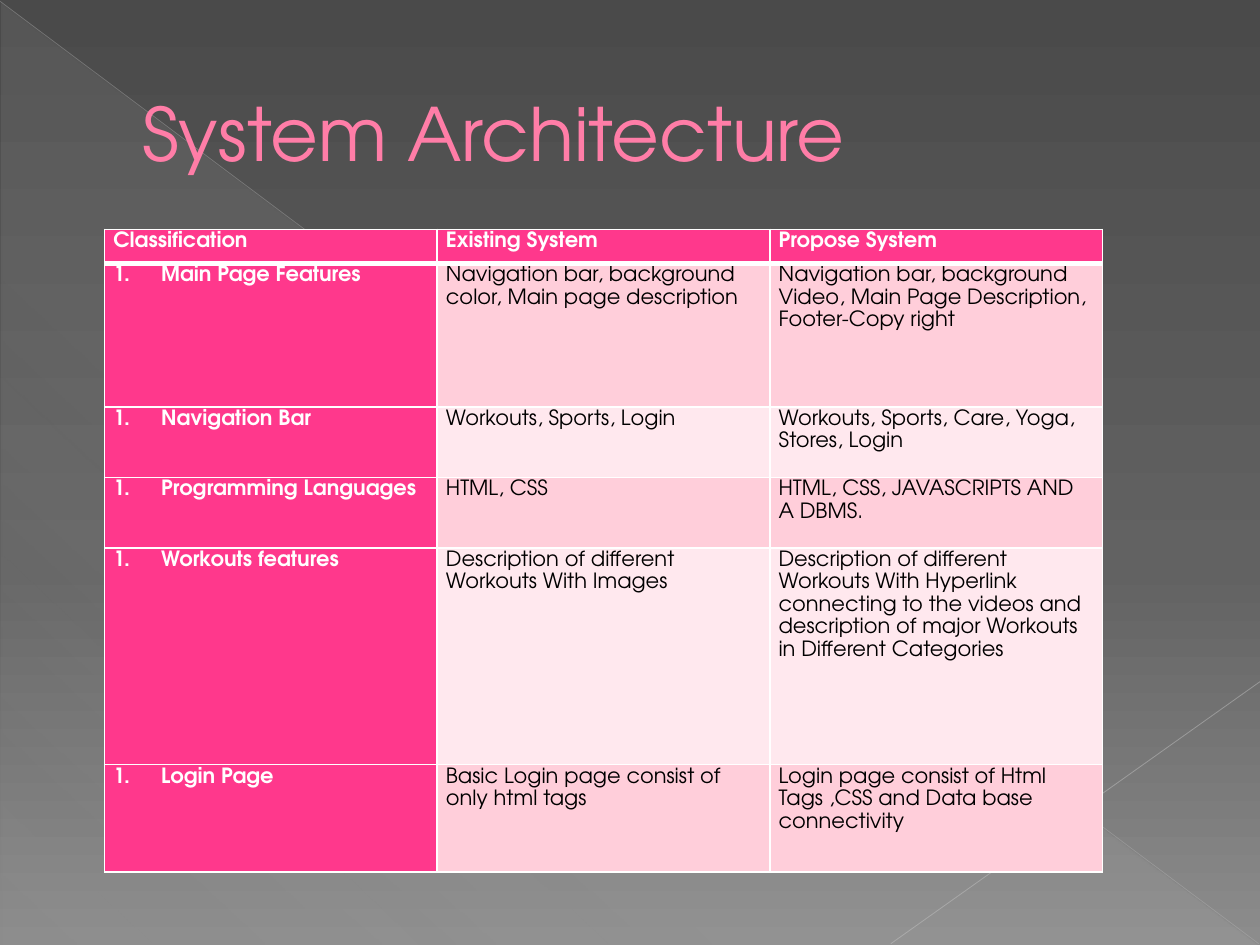
from pptx import Presentation
from pptx.dml.color import RGBColor
from pptx.enum.shapes import MSO_CONNECTOR as Conn, MSO_SHAPE as Shape
from pptx.enum.text import MSO_ANCHOR as Anchor
from pptx.oxml.ns import qn
from pptx.util import Inches, Pt
from lxml.etree import SubElement as Sub

FONT = "TeX Gyre Adventor"
PINK, WHITE, BLACK = "FF388C", "FFFFFF", "000000"
BANDS = ["FFCEDA", "FFE8EE"]
HEADS = ["Classification", "Existing System", "Propose System"]
ROWS = [
    ["Main Page Features",
     "Navigation bar, background color, Main page description",
     "Navigation bar, background Video, Main Page Description, Footer-Copy right"],
    ["Navigation Bar",
     "Workouts, Sports, Login",
     "Workouts, Sports, Care, Yoga, Stores, Login"],
    ["Programming Languages",
     "HTML, CSS",
     "HTML, CSS, JAVASCRIPTS AND A DBMS."],
    ["Workouts features",
     "Description of different Workouts With Images",
     "Description of different Workouts With Hyperlink connecting to the videos "
     "and description of major Workouts in Different Categories"],
    ["Login Page",
     "Basic Login page consist of only html tags",
     "Login page consist of Html Tags ,CSS and Data base connectivity"],
]
HEIGHTS = [0.27, 1.14, 0.56, 0.56, 1.72, 0.85]


def rgb(code):
    """Turn a hex string into a colour."""
    return RGBColor.from_string(code)


def paint(node, code, alpha=100):
    """Add a colour with an opacity in percent to an XML node."""
    tone = Sub(node, qn("a:srgbClr"), val=code)
    if alpha < 100:
        Sub(tone, qn("a:alpha"), val=str(alpha * 1000))


def grade(fill, node, stops, angle):
    """Give a fill gradient stops of position, colour and opacity."""
    fill.gradient()
    fill.gradient_angle = 360 - angle
    bag = node.find(".//" + qn("a:gsLst"))
    for old in list(bag):
        bag.remove(old)
    for pos, code, alpha in stops:
        paint(Sub(bag, qn("a:gs"), pos=str(pos * 1000)), code, alpha)


def write(frame, text, size=12, color=BLACK, bold=False, indent=0, hang=0,
          space=None, after=0, number=False, edge=None):
    """Put one formatted paragraph into a text frame."""
    frame.word_wrap = True
    para = frame.paragraphs[0]
    para.line_spacing, para.space_after = space, Pt(after)
    props = para._p.get_or_add_pPr()
    props.set("marL", str(Inches(indent)))
    props.set("indent", str(Inches(-hang)))
    if number:
        Sub(props, qn("a:buFont"), typeface="+mj-lt")
        Sub(props, qn("a:buAutoNum"), type="arabicPeriod")
    run = para.add_run()
    run.text = text
    font = run.font
    font.name, font.size, font.bold = FONT, Pt(size), bold
    font.color.rgb = rgb(color)
    if edge:
        line = Sub(run._r.rPr, qn("a:ln"), w=str(Pt(0.5)))
        paint(Sub(line, qn("a:solidFill")), edge)
        run._r.rPr.insert(0, line)


def streak(slide, start, end, color, width, alpha):
    """Draw a thin translucent line."""
    line = slide.shapes.add_connector(
        Conn.STRAIGHT, *(Inches(n) for n in start + end))
    line.line.width = Pt(width)
    line.line.color.rgb = rgb(color)
    tone = line.element.spPr.find(".//" + qn("a:srgbClr"))
    Sub(tone, qn("a:alpha"), val=str(alpha * 1000))
    Sub(line.element.spPr, qn("a:effectLst"))


def scene(slide, left, top, width, height):
    """Draw the shaded backdrop with its wedge and streaks."""
    grade(slide.background.fill, slide.element,
          [(0, "4A4A4A", 100), (60, "626262", 100), (100, "8C8C8C", 100)], 90)
    wedge = slide.shapes.add_shape(
        Shape.RIGHT_TRIANGLE, Inches(left + 0.01), Inches(top + 0.02),
        Inches(width - 0.02), Inches(height - 0.02))
    wedge.shadow.inherit = False
    wedge.line.fill.background()
    grade(wedge.fill, wedge.element,
          [(0, "D2D2D2", 10), (70, "D2D2D2", 8), (100, "D2D2D2", 1)], 133)
    right, base = left + width, top + height - 0.01
    streak(slide, (left, top + 0.01), (right - 0.01, base), "BFBFBF", 0.39, 35)
    streak(slide, (right, top + 5.41), (left + 7.07, base), "C6C6C6", 0.47, 45)


def title(slide, text, *box):
    """Place the slide heading in its box."""
    frame = slide.shapes.add_textbox(*(Inches(n) for n in box)).text_frame
    frame.vertical_anchor = Anchor.MIDDLE
    write(frame, text, size=42, color="FF7DA7", indent=0.53, edge="B12761")


def border(cell, **widths):
    """Set white cell borders, widths in points by side."""
    props = cell._tc.get_or_add_tcPr()
    for spot, (side, width) in enumerate(widths.items()):
        line = Sub(props, qn("a:ln" + side), w=str(Pt(width)))
        paint(Sub(line, qn("a:solidFill")), WHITE)
        props.insert(spot, line)


def grid(slide, left, top, width, height):
    """Place the comparison table in its box."""
    data = [HEADS] + ROWS
    table = slide.shapes.add_table(
        len(data), len(HEADS), Inches(left), Inches(top),
        Inches(width), Inches(height)).table
    for col in table.columns:
        col.width = Inches(width / len(HEADS))
    for i, texts in enumerate(data):
        table.rows[i].height = Inches(HEIGHTS[i])
        for j, text in enumerate(texts):
            cell = table.cell(i, j)
            strong = i == 0 or j == 0
            item = i > 0 and j == 0
            cell.margin_left = cell.margin_right = Inches(0.07)
            cell.margin_top = cell.margin_bottom = 0
            cell.fill.solid()
            cell.fill.fore_color.rgb = rgb(PINK if strong else BANDS[(i - 1) % 2])
            border(cell, L=1, R=1, T=3 if i == 1 else 1, B=3 if i == 0 else 1)
            write(cell.text_frame, text, color=WHITE if strong else BLACK,
                  bold=strong, indent=0.38 * item, hang=0.38 * item,
                  space=1.15, after=10, number=item)


def main():
    """Build and save the slide."""
    deck = Presentation()
    deck.slide_width, deck.slide_height = Inches(10), Inches(7.5)
    slide = deck.slides.add_slide(deck.slide_layouts[6])
    scene(slide, 0, 0, 10, 7.5)
    title(slide, "System Architecture", 0.5, 0.28, 9, 1.54)
    grid(slide, 0.83, 1.82, 7.92, 5.09)
    deck.save("out.pptx")


if __name__ == "__main__":
    main()
